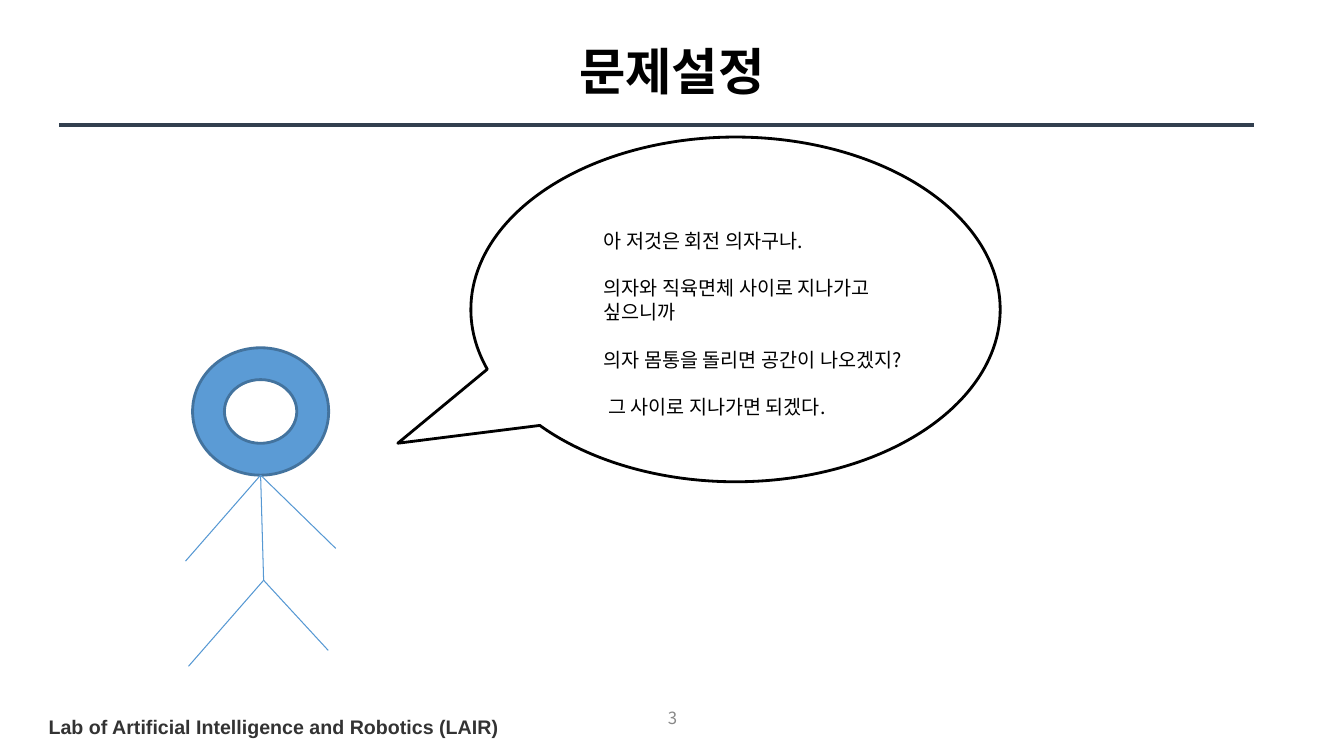
from lxml import etree
from pptx import Presentation
from pptx.dml.color import RGBColor
from pptx.enum.shapes import MSO_CONNECTOR, MSO_SHAPE
from pptx.enum.text import MSO_ANCHOR, PP_ALIGN
from pptx.oxml.ns import qn
from pptx.util import Inches, Pt

STRAIGHT = MSO_CONNECTOR.STRAIGHT
DONUT, CALLOUT = MSO_SHAPE.DONUT, MSO_SHAPE.OVAL_CALLOUT
LEFT, CENTER = PP_ALIGN.LEFT, PP_ALIGN.CENTER
TOP, MIDDLE = MSO_ANCHOR.TOP, MSO_ANCHOR.MIDDLE
KOREAN, LATIN = "Noto Sans CJK KR", "Arial"
WIDTH, HEIGHT = 13.33, 7.5
THOUGHT_LINE = 17  # points


def color(value):
    return RGBColor.from_string(value)


def add_line(shapes, start, end, line_color, weight):
    line = shapes.add_connector(STRAIGHT, *map(Inches, (*start, *end)))
    line.line.color.rgb = color(line_color)
    line.line.width = Pt(weight)
    etree.SubElement(line._element.spPr, qn("a:effectLst"))


def add_outlined(shapes, kind, box, fill, outline):
    shape = shapes.add_shape(kind, *map(Inches, box))
    shape.shadow.inherit = False
    shape.fill.solid()
    shape.fill.fore_color.rgb = color(fill)
    shape.line.color.rgb = color(outline)
    shape.line.width = Pt(2)
    return shape


def add_text(shapes, box, paragraphs, size, font, text_color,
             bold=False, align=LEFT, anchor=TOP):
    frame = shapes.add_textbox(*map(Inches, box)).text_frame
    frame.word_wrap = True
    frame.vertical_anchor = anchor
    for index, words in enumerate(paragraphs):
        paragraph = frame.paragraphs[0] if index == 0 else frame.add_paragraph()
        paragraph.alignment = align
        run = paragraph.add_run()
        run.text = words
        run.font.size = Pt(size)
        run.font.bold = bold
        run.font.color.rgb = color(text_color)
        run.font.name = font
        east_asian = etree.SubElement(run.font._element, qn("a:ea"))
        east_asian.set("typeface", KOREAN)
    return frame


def add_header(shapes, box):
    left, top, width, height = box
    add_text(shapes, (left, top + 0.34, width, 0.71), ["문제설정"], 36, LATIN,
             "000000", bold=True, align=CENTER, anchor=MIDDLE)
    rule_y = top + height
    add_line(shapes, (left + 0.59, rule_y), (left + width - 0.89, rule_y),
             "323F4F", 3)


def add_stick_figure(shapes, box):
    left, top, width, height = box
    figure = shapes.add_group_shape().shapes
    add_outlined(figure, DONUT, (left + 0.07, top, 1.35, 0.4 * height),
                 "5B9BD5", "43739E")

    def at(across, down):
        return left + across * width, top + down * height

    neck, hip = at(0.5, 0.4), at(0.52, 0.73)
    left_hand, right_hand = at(0, 0.67), at(1, 0.63)
    left_foot, right_foot = at(0.02, 1), at(0.95, 0.95)
    for start, end in ((neck, hip), (neck, left_hand), (neck, right_hand),
                       (hip, left_foot), (hip, right_foot)):
        add_line(figure, start, end, "5698D3", 0.75)


def add_thought(shapes, box):
    left, top, width, height = box
    bubble = add_outlined(shapes, CALLOUT, box, "FFFFFF", "000000")
    bubble.adjustments[0] = -0.638
    bubble.adjustments[1] = 0.388
    thoughts = ["아 저것은 회전 의자구나.",
                "의자와 직육면체 사이로 지나가고 싶으니까",
                "의자 몸통을 돌리면 공간이 나오겠지?",
                " 그 사이로 지나가면 되겠다."]
    frame = add_text(shapes, (left + 1.22, top + 0.25 * height, 3.6, 1.75),
                     thoughts, 14, KOREAN, "000000")
    for paragraph in frame.paragraphs:
        paragraph.line_spacing = Pt(THOUGHT_LINE)
        paragraph.space_after = Pt(THOUGHT_LINE)


def add_footer(shapes, box):
    left, top, width, height = box
    add_text(shapes, (left + 5.17, top, 3, 0.4), ["3"], 12, KOREAN,
             "888888", align=CENTER, anchor=MIDDLE)
    add_text(shapes, (left + 0.33, top + 0.12, 5.13, 0.34),
             [" Lab of Artificial Intelligence and Robotics (LAIR)"],
             14, LATIN, "333333", bold=True)


def main():
    deck = Presentation()
    deck.slide_width, deck.slide_height = Inches(WIDTH), Inches(HEIGHT)
    shapes = deck.slides.add_slide(deck.slide_layouts[6]).shapes
    add_header(shapes, (0, 0, WIDTH, 1.24))
    add_footer(shapes, (0, 6.92, WIDTH, 0.58))
    add_stick_figure(shapes, (1.84, 3.45, 1.49, 3.16))
    add_thought(shapes, (4.67, 1.36, 5.25, 3.42))
    deck.save("out.pptx")


if __name__ == "__main__":
    main()
